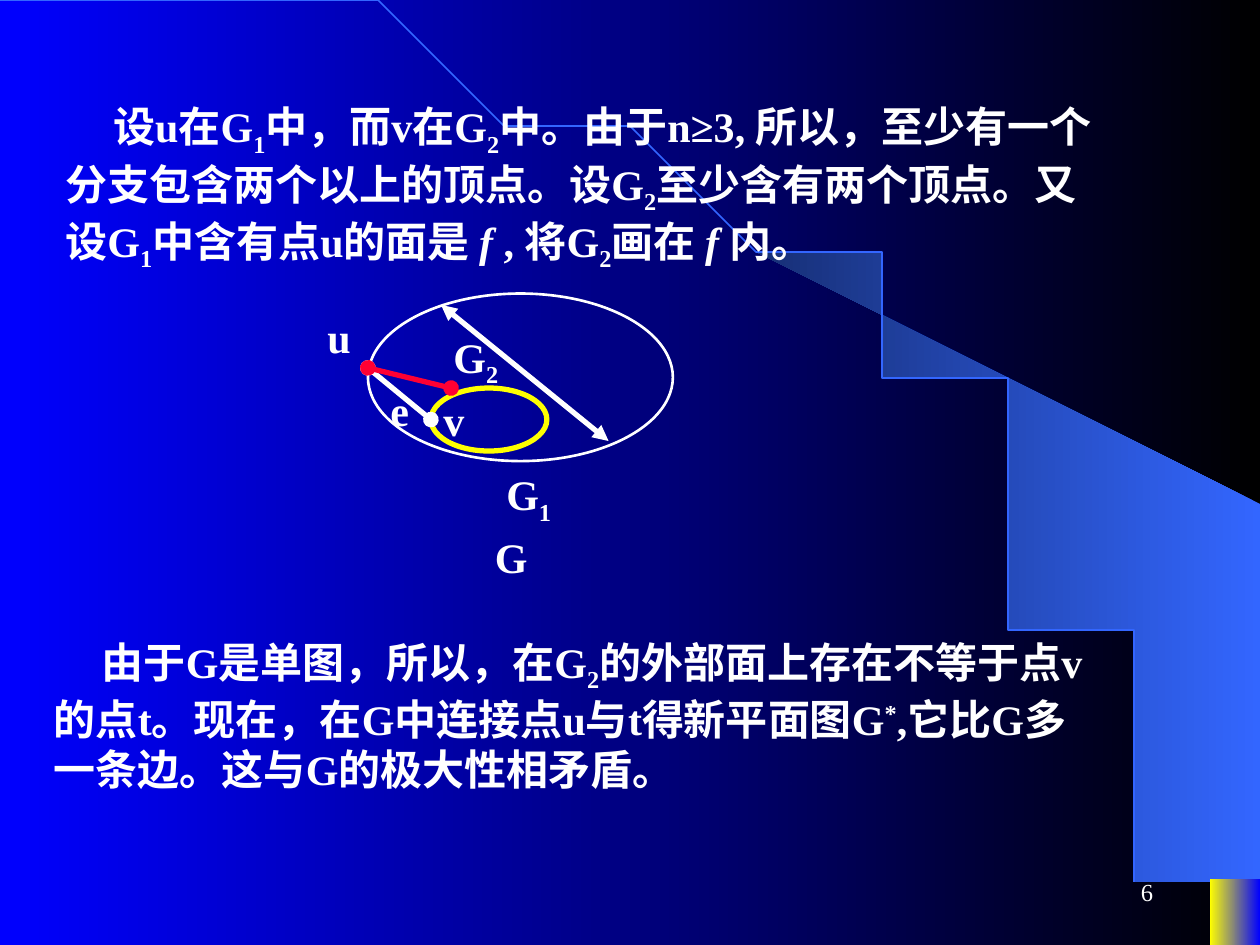
from dataclasses import dataclass
from math import asin, cos, degrees, radians, sin

from lxml.etree import SubElement
from pptx import Presentation
from pptx.dml.color import RGBColor
from pptx.enum.shapes import MSO_CONNECTOR as Connector, MSO_SHAPE as Shape
from pptx.enum.text import MSO_ANCHOR as Anchor, PP_ALIGN as Align
from pptx.oxml.ns import qn
from pptx.util import Inches, Pt


@dataclass(frozen=True)
class Theme:
    font: str = "Times New Roman"
    body_size: int = 24
    number_size: int = 14
    white: str = "FFFFFF"
    black: str = "000000"
    blue: str = "0000FF"
    yellow: str = "FFFF00"
    red: str = "FF0033"
    sky: str = "3366FF"
    navy: str = "172F75"
    thin: float = 1
    outline: float = 1.5
    thick: float = 3


THEME = Theme()
BASELINES = {"sub": "-25000", "super": "30000"}


def rgb(color):
    return RGBColor.from_string(color)


def fill_gradient(fill, first, last):
    fill.gradient()
    fill.gradient_angle = 180
    for stop, color, position in zip(fill.gradient_stops, (first, last), (0, 1)):
        stop.color.rgb = rgb(color)
        stop.position = position


def set_line(line, color, width):
    line.color.rgb = rgb(color)
    line.width = Pt(width)


def add_text(slide, box, runs, size=THEME.body_size, bold=True, indent=0,
             align=Align.LEFT, anchor=Anchor.TOP):
    frame = slide.shapes.add_textbox(*map(Inches, box)).text_frame
    frame.word_wrap = True
    frame.vertical_anchor = anchor
    paragraph = frame.paragraphs[0]
    paragraph.alignment = align
    if indent:
        paragraph._p.get_or_add_pPr().set("indent", str(Inches(indent)))
    for text, style in runs:
        run = paragraph.add_run()
        run.text = text
        run.font.name = THEME.font
        run.font.size = Pt(size)
        run.font.bold = bold
        run.font.color.rgb = rgb(THEME.white)
        if style == "italic":
            run.font.italic = True
        elif style:
            run.font._element.set("baseline", BASELINES[style])


def add_ellipse(slide, box, color, width):
    ellipse = slide.shapes.add_shape(Shape.OVAL, *map(Inches, box))
    ellipse.shadow.inherit = False
    ellipse.fill.background()
    set_line(ellipse.line, color, width)


def add_edge(slide, start, end, color, ends):
    edge = slide.shapes.add_connector(Connector.STRAIGHT, *map(Inches, start + end))
    set_line(edge.line, color, THEME.thick)
    line = edge.line._get_or_add_ln()
    for tag in ("a:headEnd", "a:tailEnd"):
        SubElement(line, qn(tag)).set("type", ends)
    SubElement(edge._element.spPr, qn("a:effectLst"))


def add_outline(slide, points, close):
    builder = slide.shapes.build_freeform(*points[0], scale=Inches(1))
    builder.add_line_segments(points[1:], close=close)
    outline = builder.convert_to_shape()
    outline.shadow.inherit = False
    return outline


def add_backdrop(slide, box):
    left, top, width, height = box
    right, bottom = left + width, top + height
    radius = 9.2
    steps = 60

    def arc(start):
        angles = [radians(start + (90 - start) * step / steps) for step in range(steps + 1)]
        return [(left + radius * sin(angle), bottom - height * cos(angle)) for angle in angles]

    fill_gradient(slide.background.fill, THEME.black, THEME.blue)

    band_start = degrees(asin(5.89 / radius))
    corners = [(right, bottom), (right, top + 4.23)]
    band = add_outline(slide, arc(band_start) + corners, True)
    fill_gradient(band.fill, THEME.sky, THEME.navy)
    band.line.fill.background()

    curve = add_outline(slide, arc(0), False)
    curve.fill.background()
    set_line(curve.line, THEME.sky, THEME.thin)


def add_corner(slide, box):
    corner = slide.shapes.add_shape(Shape.RECTANGLE, *map(Inches, box))
    corner.shadow.inherit = False
    fill_gradient(corner.fill, THEME.blue, THEME.yellow)
    corner.line.fill.background()


def add_graph(slide, box):
    left, top, width, height = box

    def at(x, y):
        return left + x, top + y

    add_ellipse(slide, at(0.92, 0.75) + (0.92, 0.5), THEME.yellow, THEME.thick)
    add_ellipse(slide, at(0.42, 0) + (width - 0.42, 1.33), THEME.white, THEME.outline)

    labels = [
        (0.92, 0.75, 0.52, "v", ""),
        (0, 0.09, 0.52, "u", ""),
        (0.5, 0.67, 0.52, "e", ""),
        (1.42, 1.34, 0.67, "G", "1"),
        (1, 0.25, 0.67, "G", "2"),
        (1.33, height - 0.5, 0.67, "G", ""),
    ]
    for x, y, label_width, name, index in labels:
        runs = [(name, None)] + ([(index, "sub")] if index else [])
        add_text(slide, at(x, y) + (label_width, 0.5), runs)

    vertex_u = at(0.42, 0.59)
    add_edge(slide, at(1, 0.09), at(2.33, 1.17), THEME.white, "triangle")
    add_edge(slide, vertex_u, at(0.92, 1), THEME.white, "oval")
    add_edge(slide, vertex_u, at(1.08, 0.75), THEME.red, "oval")


def main():
    presentation = Presentation()
    presentation.slide_width = Inches(10)
    presentation.slide_height = Inches(7.5)
    slide = presentation.slides.add_slide(presentation.slide_layouts[6])

    add_backdrop(slide, (0, 0, 9.99, 7.49))
    add_corner(slide, (9.6, 6.98, 0.4, 0.52))
    add_text(slide, (0.42, 0.75, 8.42, 1.47), [
        ("设u在G", None), ("1", "sub"), ("中，而v在G", None), ("2", "sub"),
        ("中。由于n≥3, 所以，至少有一个分支包含两个以上的顶点。设G", None), ("2", "sub"),
        ("至少含有两个顶点。又设G", None), ("1", "sub"), ("中含有点u的面是 ", None),
        ("f ", "italic"), (", 将G", None), ("2", "sub"), ("画在 ", None),
        ("f ", "italic"), ("内。", None),
    ], indent=0.38)
    add_text(slide, (0.33, 5, 8.42, 1.36), [
        ("由于G是单图，所以，在G", None), ("2", "sub"),
        ("的外部面上存在不等于点v的点t。现在，在G中连接点u与t得新平面图G", None),
        ("*", "super"), (",它比G多一条边。这与G的极大性相矛盾。", None),
    ], indent=0.38)
    add_graph(slide, (2.5, 2.33, 2.84, 2.34))
    add_text(slide, (7.17, 6.83, 2.08, 0.5), [("6", None)], size=THEME.number_size,
             bold=False, align=Align.RIGHT, anchor=Anchor.MIDDLE)

    presentation.save("out.pptx")


if __name__ == "__main__":
    main()
